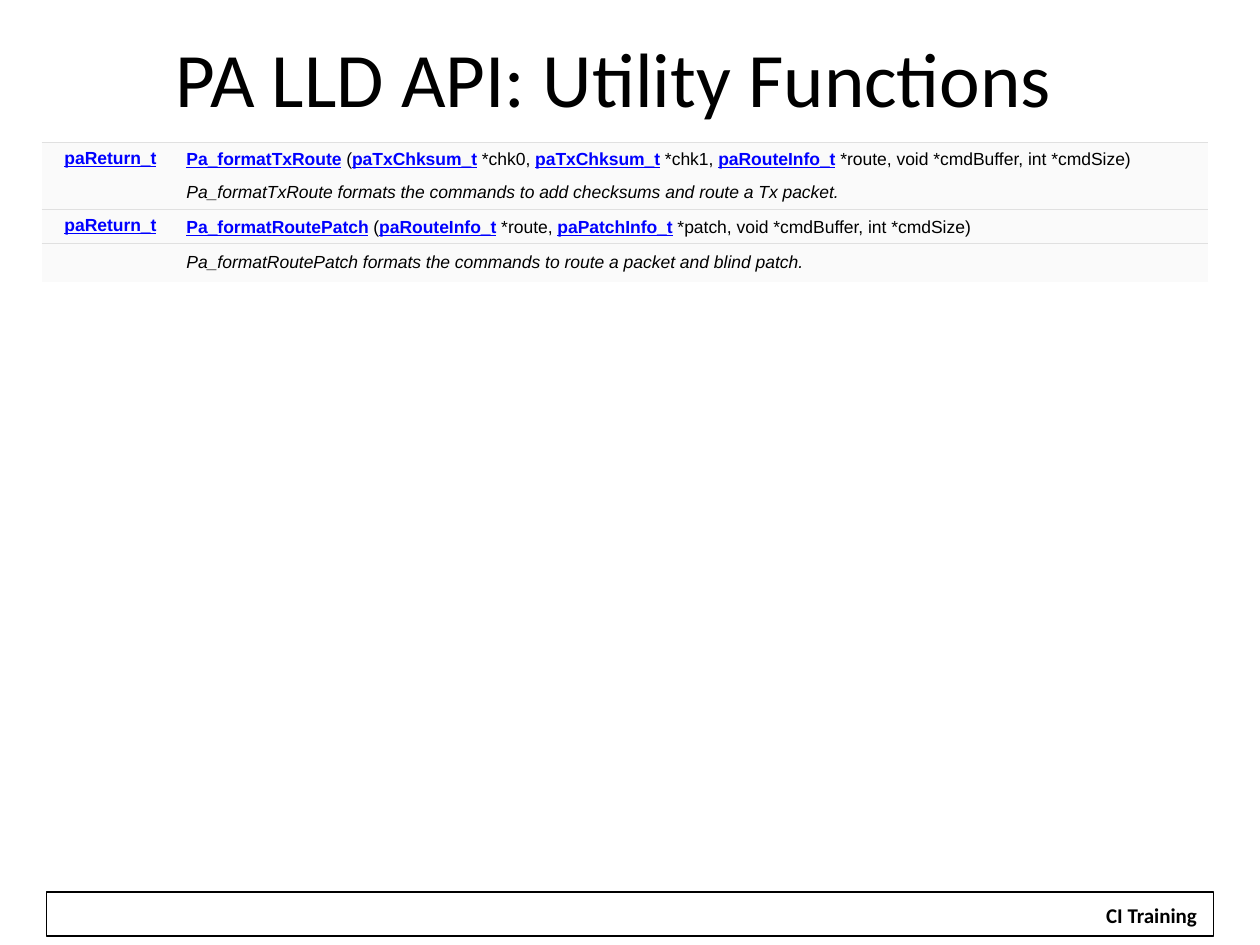
from dataclasses import dataclass

from lxml.etree import SubElement
from pptx import Presentation
from pptx.dml.color import RGBColor
from pptx.enum.shapes import MSO_SHAPE
from pptx.enum.text import MSO_ANCHOR, PP_ALIGN
from pptx.oxml import parse_xml
from pptx.oxml.ns import nsdecls, qn
from pptx.util import Inches, Pt

BLACK, WHITE, LINK, PANEL, RULE = "000000", "FFFFFF", "0000FF", "FAFAFA", "E0E0E0"
NO_STYLE = "{2D5ABB26-0587-4C30-8999-92F81FD0307C}"
COLUMN_WIDTHS = (1.05, 8.21)
ROW_HEIGHTS = (0.26, 0.26, 0.26, 0.31)


@dataclass
class ApiFunction:
    """A function entry; names between bars are shown as links."""
    returns: str
    signature: str
    description: str


FUNCTIONS = (
    ApiFunction(
        "|paReturn_t|\u00a0",
        "|Pa_formatTxRoute| (|paTxChksum_t| *chk0, |paTxChksum_t| *chk1, "
        "|paRouteInfo_t| *route, void *cmdBuffer, int *cmdSize)",
        "Pa_formatTxRoute formats the commands to add checksums and route a Tx packet. "),
    ApiFunction(
        "|paReturn_t|\u00a0",
        "|Pa_formatRoutePatch| (|paRouteInfo_t| *route, |paPatchInfo_t| *patch, "
        "void *cmdBuffer, int *cmdSize)",
        "Pa_formatRoutePatch formats the commands to route a packet and blind patch. "),
)


def color(value: str) -> RGBColor:
    """Turn a hex string into a colour."""
    return RGBColor.from_string(value)


def style_run(run, size: float, font: str, hex_color: str = BLACK, bold: bool = False) -> None:
    """Set the font of a run."""
    run.font.size = Pt(size)
    run.font.name = font
    run.font.color.rgb = color(hex_color)
    run.font.bold = bold


def add_label(slide, box: tuple, text: str, size: float, bold: bool = False) -> None:
    """Add a centred Calibri text box."""
    shape = slide.shapes.add_textbox(*(Inches(length) for length in box))
    frame = shape.text_frame
    frame.text = text
    frame.word_wrap = not bold
    frame.vertical_anchor = MSO_ANCHOR.MIDDLE
    frame.paragraphs[0].alignment = PP_ALIGN.CENTER
    style_run(frame.paragraphs[0].runs[0], size, "Calibri", BLACK, bold)


def add_footer(slide) -> None:
    """Add the footer frame and its label."""
    frame = slide.shapes.add_shape(
        MSO_SHAPE.RECTANGLE, Inches(0.37), Inches(7.08), Inches(9.26), Inches(0.35))
    frame.shadow.inherit = False
    frame.fill.background()
    frame.line.color.rgb = color(BLACK)
    frame.line.width = Pt(0.75)
    add_label(slide, (8.67, 7.11, 0.94, 0.3), "CI Training", 12, True)


def fill_cell(cell, markup: str, anchor=MSO_ANCHOR.TOP, align=PP_ALIGN.LEFT,
              italic: bool = False) -> None:
    """Shade a cell and write its text, with linked names in bold blue."""
    cell.fill.solid()
    cell.fill.fore_color.rgb = color(PANEL)
    cell.vertical_anchor = anchor
    paragraph = cell.text_frame.paragraphs[0]
    paragraph.alignment = align
    properties = paragraph._p.get_or_add_pPr()
    properties.set("marL", str(Inches(0.25)))
    properties.set("indent", str(Inches(-0.25)))
    for index, text in enumerate(markup.split("|")):
        if text:
            linked = index % 2 == 1
            run = paragraph.add_run()
            run.text = text
            style_run(run, 10, "Arial", LINK if linked else BLACK, linked)
            run.font.underline = linked
            run.font.italic = italic
    if not markup:
        SubElement(paragraph._p, qn("a:endParaRPr")).set("sz", "1000")


def add_border(cell, side: str) -> None:
    """Draw a thin rule on one side of a cell."""
    cell._tc.get_or_add_tcPr().insert(0, parse_xml(
        f'<a:{side} {nsdecls("a")} w="12700"><a:solidFill><a:srgbClr val="{RULE}"/>'
        f'</a:solidFill></a:{side}>'))


def add_function_table(slide) -> None:
    """Add the table with two rows per function."""
    table = slide.shapes.add_table(
        len(ROW_HEIGHTS), len(COLUMN_WIDTHS), Inches(0.33), Inches(1.13),
        Inches(sum(COLUMN_WIDTHS)), Inches(sum(ROW_HEIGHTS))).table
    table.first_row = table.horz_banding = False
    table._tbl.tblPr.find(qn("a:tableStyleId")).text = NO_STYLE
    for column, width in zip(table.columns, COLUMN_WIDTHS):
        column.width = Inches(width)
    for row, height in zip(table.rows, ROW_HEIGHTS):
        row.height = Inches(height)
    for index, function in enumerate(FUNCTIONS):
        top = 2 * index
        fill_cell(table.cell(top, 0), function.returns, align=PP_ALIGN.RIGHT)
        fill_cell(table.cell(top, 1), function.signature, MSO_ANCHOR.BOTTOM)
        fill_cell(table.cell(top + 1, 0), "")
        fill_cell(table.cell(top + 1, 1), function.description, MSO_ANCHOR.MIDDLE, italic=True)
    for column in range(len(COLUMN_WIDTHS)):
        add_border(table.cell(0, column), "lnT")
        add_border(table.cell(1, column), "lnB")
        add_border(table.cell(2, column), "lnT")


def main() -> None:
    """Build and save the slide."""
    presentation = Presentation()
    presentation.slide_width = Inches(10)
    presentation.slide_height = Inches(7.5)
    slide = presentation.slides.add_slide(presentation.slide_layouts[6])
    slide.background.fill.solid()
    slide.background.fill.fore_color.rgb = color(WHITE)
    add_footer(slide)
    add_label(slide, (0.25, 0.16, 9.25, 0.89), "PA LLD API: Utility Functions", 44)
    add_function_table(slide)
    presentation.save("out.pptx")


main()
